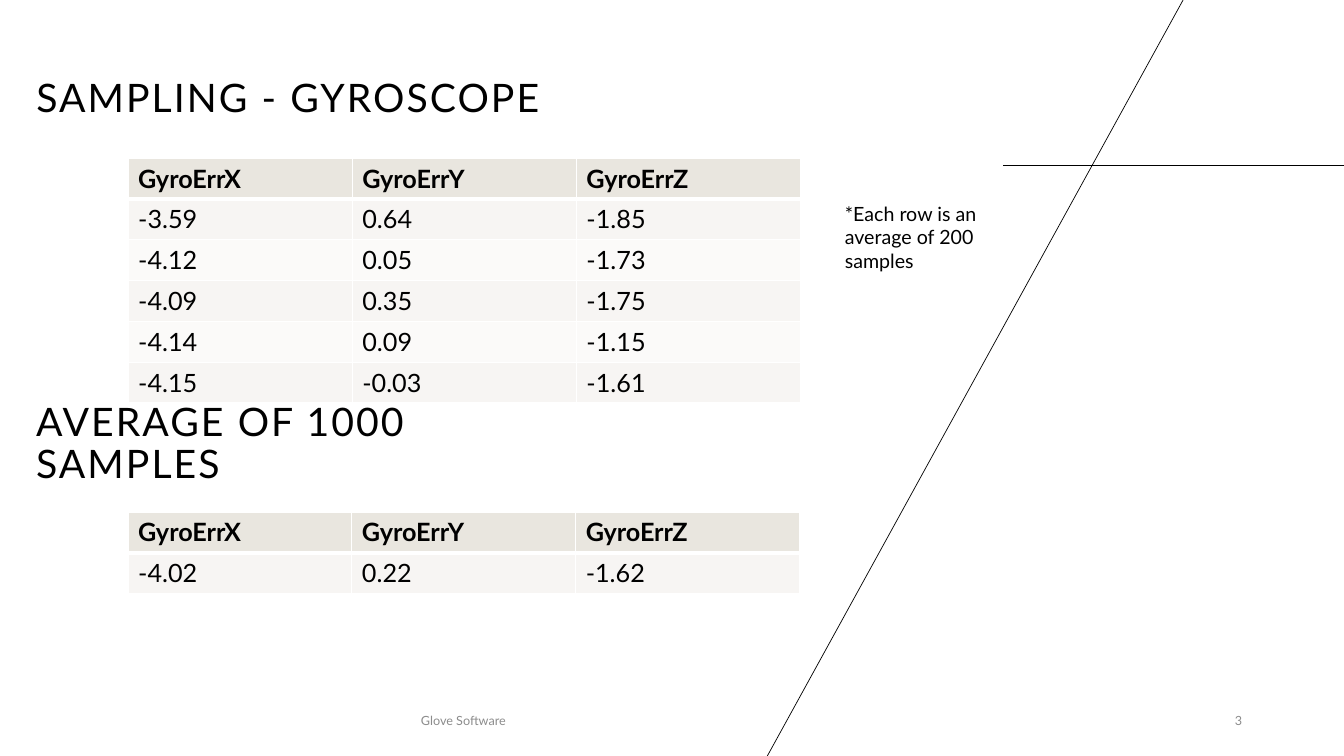
from dataclasses import dataclass, field

from lxml.etree import SubElement
from pptx import Presentation
from pptx.dml.color import RGBColor
from pptx.enum.shapes import MSO_CONNECTOR
from pptx.enum.text import MSO_ANCHOR, MSO_AUTO_SIZE, PP_ALIGN
from pptx.oxml.ns import qn
from pptx.shapes.autoshape import Shape
from pptx.slide import Slide
from pptx.util import Emu, Inches, Pt

BLACK = RGBColor(0x00, 0x00, 0x00)
WHITE = RGBColor(0xFF, 0xFF, 0xFF)
GREY = RGBColor(0x8C, 0x8C, 0x8C)
HEADER_FILL = RGBColor(0xE9, 0xE6, 0xDF)
BAND_FILLS = (RGBColor(0xF7, 0xF5, 0xF3), RGBColor(0xFB, 0xFA, 0xF9))
FONT = "Lato"

# The grid has 100 columns and 100 rows across the slide
WIDTH, HEIGHT = Inches(13.33), Inches(7.5)
TABLE_LEFT, ROW_HEIGHT = 9.53, 5.4
HEADERS = ("GyroErrX", "GyroErrY", "GyroErrZ")


def columns(count: float) -> Emu:
    return Emu(round(WIDTH * count / 100))


def rows(count: float) -> Emu:
    return Emu(round(HEIGHT * count / 100))


@dataclass(frozen=True)
class Label:
    text: str
    left: float
    top: float
    width: float
    height: float
    size: float
    color: RGBColor = BLACK
    spacing: float = 0
    frame: dict = field(default_factory=dict)
    para: dict = field(default_factory=dict)


@dataclass(frozen=True)
class Readings:
    top: float
    width: float
    values: tuple[tuple[str, ...], ...]


@dataclass(frozen=True)
class Line:
    start: tuple[float, float]
    end: tuple[float, float]


HEADING = {
    "size": 28,
    "spacing": 1.5,
    "frame": {"vertical_anchor": MSO_ANCHOR.BOTTOM},
    "para": {"line_spacing": 0.9, "alignment": PP_ALIGN.LEFT},
}
FOOTER = {"size": 9, "color": GREY, "frame": {"vertical_anchor": MSO_ANCHOR.MIDDLE}}

TITLE = Label("SAMPLING - GYROSCOPE", 1.95, -0.93, 41.93, 17.6, **HEADING)
LABELS = (
    Label("Glove Software", 20.18, 92.67, 28.58, 5.33,
          para={"alignment": PP_ALIGN.CENTER}, **FOOTER),
    Label("3", 70.67, 92.67, 22.5, 5.33,
          para={"alignment": PP_ALIGN.RIGHT}, **FOOTER),
    Label("AVERAGE OF 1000 SAMPLES", 1.95, 47.47, 41.93, 17.6, **HEADING),
    Label("*Each row is an average of 200 samples", 62.12, 26, 13.95, 10.8, 14,
          frame={"auto_size": MSO_AUTO_SIZE.SHAPE_TO_FIT_TEXT}),
)
TABLES = (
    Readings(20.93, 50.04, (
        ("-3.59", "0.64", "-1.85"),
        ("-4.12", "0.05", "-1.73"),
        ("-4.09", "0.35", "-1.75"),
        ("-4.14", "0.09", "-1.15"),
        ("-4.15", "-0.03", "-1.61"),
    )),
    Readings(67.73, 49.96, (("-4.02", "0.22", "-1.62"),)),
)
LINES = (
    Line((74.64, 21.87), (100, 21.87)),
    Line((88.15, -0.4), (57.01, 100.27)),
)


def set_all(target: object, values: dict) -> None:
    for name, value in values.items():
        setattr(target, name, value)


def add_span(para, text: str, size: float, color: RGBColor, bold: bool = False):
    span = para.add_run()
    span.text = text
    set_all(span.font, {"name": FONT, "size": Pt(size), "bold": bold})
    span.font.color.rgb = color
    return span


def fill_label(box: Shape, label: Label) -> None:
    set_all(box, {
        "left": columns(label.left), "top": rows(label.top),
        "width": columns(label.width), "height": rows(label.height),
    })
    frame = box.text_frame
    set_all(frame, {"word_wrap": True, "auto_size": MSO_AUTO_SIZE.NONE} | label.frame)
    para = frame.paragraphs[0]
    set_all(para, label.para)
    span = add_span(para, label.text, label.size, label.color)
    if label.spacing:
        span._r.get_or_add_rPr().set("spc", str(round(label.spacing * 100)))


def add_line(page: Slide, line: Line) -> None:
    (x1, y1), (x2, y2) = line.start, line.end
    connector = page.shapes.add_connector(
        MSO_CONNECTOR.STRAIGHT, columns(x1), rows(y1), columns(x2), rows(y2))
    connector.line.width = Pt(0.5)
    connector.line.color.rgb = BLACK
    SubElement(connector._element.spPr, qn("a:effectLst"))


def add_borders(cell, top: float, bottom: float) -> None:
    properties = cell._tc.get_or_add_tcPr()
    for side, width in {"L": 1, "R": 1, "T": top, "B": bottom}.items():
        border = SubElement(properties, qn(f"a:ln{side}"), w=str(Pt(width)))
        fill = SubElement(border, qn("a:solidFill"))
        SubElement(fill, qn("a:srgbClr"), val=str(WHITE))


def add_readings(page: Slide, readings: Readings) -> None:
    lines = (HEADERS, *readings.values)
    table = page.shapes.add_table(
        len(lines), len(HEADERS), columns(TABLE_LEFT), rows(readings.top),
        columns(readings.width), rows(ROW_HEIGHT * len(lines))).table
    for row, texts in enumerate(lines):
        header = row == 0
        for column, text in enumerate(texts):
            cell = table.cell(row, column)
            # The rule under the header is thicker than the others
            add_borders(cell, top=3 if row == 1 else 1, bottom=3 if header else 1)
            cell.fill.solid()
            cell.fill.fore_color.rgb = HEADER_FILL if header else BAND_FILLS[(row - 1) % 2]
            add_span(cell.text_frame.paragraphs[0], text, 18, BLACK, bold=header)


def main() -> None:
    deck = Presentation()
    set_all(deck, {"slide_width": WIDTH, "slide_height": HEIGHT})
    page = deck.slides.add_slide(deck.slide_layouts.get_by_name("Title Only"))
    page.background.fill.solid()
    page.background.fill.fore_color.rgb = WHITE

    # Crossing lines
    for line in LINES:
        add_line(page, line)

    # Tables of gyroscope errors
    for readings in TABLES:
        add_readings(page, readings)

    # Headings, note and footer
    fill_label(page.shapes.title, TITLE)
    for label in LABELS:
        fill_label(page.shapes.add_textbox(0, 0, 0, 0), label)

    deck.save("out.pptx")


if __name__ == "__main__":
    main()
